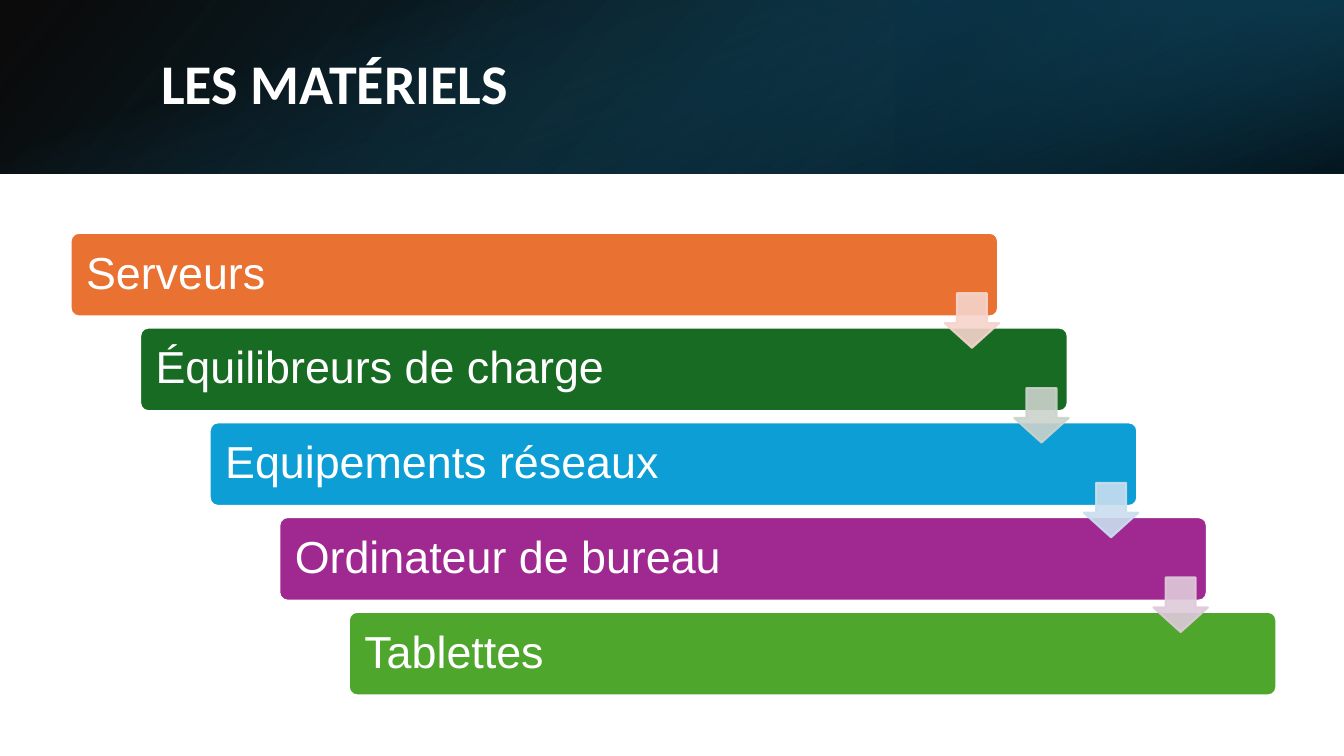
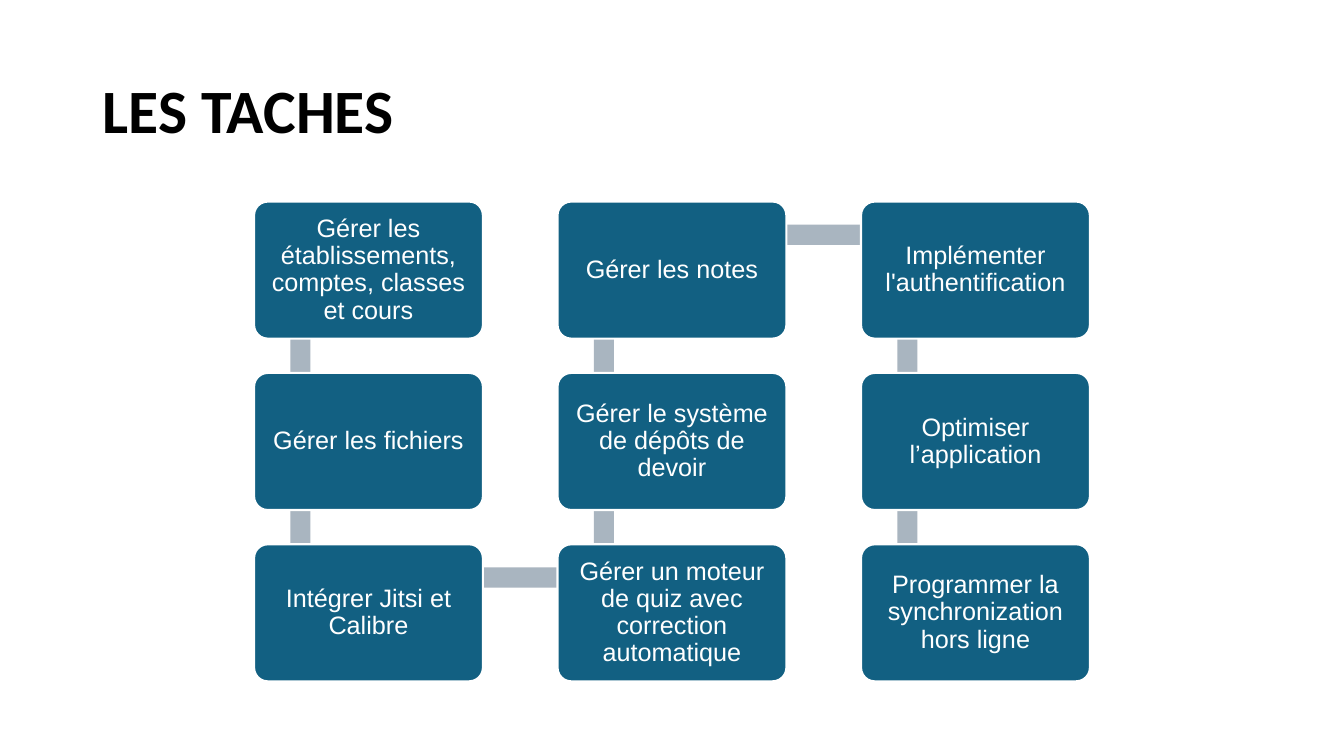
from lxml import etree
from pptx import Presentation
from pptx.dml.color import RGBColor
from pptx.enum.shapes import MSO_SHAPE as Shape
from pptx.enum.text import MSO_ANCHOR as Anchor, PP_ALIGN as Align
from pptx.oxml import parse_xml
from pptx.oxml.ns import nsdecls, qn
from pptx.util import Inches, Pt

WHITE = RGBColor(0xFF, 0xFF, 0xFF)
BLACK = RGBColor(0x00, 0x00, 0x00)
NAVY = RGBColor(0x0F, 0x48, 0x61)
DEEP = RGBColor(0x0A, 0x30, 0x41)
TEAL = RGBColor(0x15, 0x60, 0x82)
BLUE = RGBColor(0x12, 0x60, 0x82)
GREY = RGBColor(0xA9, 0xB5, 0xC0)

HEAD, BODY = "Calibri", "Arial"
WIDE, BAND = 13.33, 1.72

# Label, bar colour, colour of the arrow that leaves the bar
GEAR = [
    ("Serveurs", RGBColor(0xE9, 0x71, 0x31), RGBColor(0xF6, 0xD4, 0xCC)),
    ("Équilibreurs de charge", RGBColor(0x17, 0x6B, 0x22),
     RGBColor(0xCB, 0xD3, 0xCB)),
    ("Equipements réseaux", RGBColor(0x0C, 0x9E, 0xD5),
     RGBColor(0xCA, 0xDE, 0xEF)),
    ("Ordinateur de bureau", RGBColor(0xA0, 0x28, 0x91),
     RGBColor(0xDF, 0xCA, 0xDB)),
    ("Tablettes", RGBColor(0x4E, 0xA6, 0x2C), None),
]

# In the order of the path
TASKS = [
    "Gérer les établissements, comptes, classes et cours",
    "Gérer les fichiers",
    "Intégrer Jitsi et Calibre",
    "Gérer un moteur de quiz avec correction automatique",
    "Gérer le système de dépôts de devoir",
    "Gérer les notes",
    "Implémenter l'authentification",
    "Optimiser l’application",
    "Programmer la synchronization hors ligne",
]


def add_form(slide, kind, box, fill=None, line=None, adj=()):
    form = slide.shapes.add_shape(kind, *map(Inches, box))
    form.shadow.inherit = False
    for i, part in enumerate(adj):
        form.adjustments[i] = part
    if fill is not None:
        form.fill.solid()
        form.fill.fore_color.rgb = fill
    if line is None:
        form.line.fill.background()
    else:
        form.line.color.rgb = line
        form.line.width = Pt(1.5)
    return form


def write(form, text, size, color, font=BODY, bold=False,
          align=Align.LEFT, pad=(0.1, 0.05)):
    frame = form.text_frame
    frame.word_wrap = True
    frame.vertical_anchor = Anchor.MIDDLE
    frame.margin_left = frame.margin_right = Inches(pad[0])
    frame.margin_top = frame.margin_bottom = Inches(pad[1])
    para = frame.paragraphs[0]
    para.alignment = align
    para.line_spacing = 0.9
    run = para.add_run()
    run.text = text
    run.font.name = font
    run.font.size = Pt(size)
    run.font.bold = bold
    run.font.color.rgb = color


def add_title(slide, box, text, size, color):
    form = slide.shapes.add_textbox(*map(Inches, box))
    write(form, text, size, color, HEAD, True)


def fade(form, alpha):
    """Make fill and line partly transparent."""
    for tone in form._element.spPr.iter(qn("a:srgbClr")):
        etree.SubElement(tone, qn("a:alpha")).set("val", str(alpha * 1000))


def blend(form, angle, stops):
    """Give a gradient of (position, colour, opacity) stops, in percent."""
    marks = "".join(
        f'<a:gs pos="{pos * 1000}"><a:srgbClr val="{tone}">'
        f'<a:alpha val="{alpha * 1000}"/></a:srgbClr></a:gs>'
        for pos, tone, alpha in stops)
    grad = parse_xml(
        f'<a:gradFill {nsdecls("a")} rotWithShape="1"><a:gsLst>{marks}'
        f'</a:gsLst><a:lin ang="{angle * 60000}" scaled="0"/></a:gradFill>')
    form._element.spPr.find(qn("a:prstGeom")).addnext(grad)


def add_band(slide, wide, high):
    """Header band made of three gradient layers."""
    third = wide / 3
    layers = [
        ((0, 0, wide, high), 0, True, 140,
         [(0, BLACK, 96), (100, NAVY, 100)]),
        ((wide - third, 0, third, high), 180, True, 320,
         [(0, DEEP, 68), (19, DEEP, 68), (100, TEAL, 79)]),
        (((wide - high) / 2, (high - wide) / 2, high, wide), 90, False, 340,
         [(0, TEAL, 0), (23, TEAL, 0), (99, BLACK, 74), (100, BLACK, 74)]),
    ]
    for box, turn, flip, angle, stops in layers:
        form = add_form(slide, Shape.RECTANGLE, box)
        form.rotation = turn
        if flip:
            form._element.spPr.find(qn("a:xfrm")).set("flipH", "1")
        blend(form, angle, stops)


def add_stairs(slide, left, top):
    """Staggered bars, with an arrow from each one to the next."""
    spots = [(left + 0.69 * i, top + 0.94 * i) for i in range(len(GEAR))]
    for (x, y), (text, fill, _) in zip(spots, GEAR):
        bar = add_form(slide, Shape.ROUNDED_RECTANGLE, (x, y, 9.2, 0.83),
                       fill, WHITE, [0.1])
        write(bar, text, 32, WHITE, pad=(0.13, 0.13))
    for (x, y), (_, _, tone) in zip(spots, GEAR):
        if tone is not None:
            arrow = add_form(slide, Shape.DOWN_ARROW,
                             (x + 8.67, y + 0.6, 0.54, 0.54),
                             tone, tone, [0.55, 0.45])
            fade(arrow, 90)


def add_snake(slide, left, top, rows=3):
    """Grid of tasks read down, up, then down, with links behind."""
    step_x, step_y = 3.01, 1.7
    spots = []
    for i in range(len(TASKS)):
        col, row = divmod(i, rows)
        if col % 2:
            row = rows - 1 - row
        spots.append((left + step_x * col, top + step_y * row))
    # Links
    for (x, y), (to_x, to_y) in zip(spots, spots[1:]):
        if x == to_x:
            box = (x + 0.36, min(y, to_y) + 0.34, 0.2, step_y)
        else:
            box = (x + 0.46, y + 0.23, step_x, 0.2)
        add_form(slide, Shape.RECTANGLE, box, GREY)
    # Tasks
    for (x, y), text in zip(spots, TASKS):
        card = add_form(slide, Shape.ROUNDED_RECTANGLE, (x, y, 2.27, 1.36),
                        BLUE, WHITE, [0.1])
        write(card, text, 18, WHITE, align=Align.CENTER, pad=(0.07, 0.07))


def gear_slide(slide):
    add_band(slide, WIDE, BAND)
    add_title(slide, (1.5, 0.38, 10.98, 0.96), "LES MATÉRIELS", 40, WHITE)
    add_stairs(slide, 0.7, 2.31)


def task_slide(slide):
    add_title(slide, (0.92, 0.4, 11.5, 1.45), "LES TACHES", 44, BLACK)
    add_snake(slide, 2.52, 2)


def main():
    deck = Presentation()
    deck.slide_width, deck.slide_height = Inches(WIDE), Inches(7.5)
    for build in (gear_slide, task_slide):
        build(deck.slides.add_slide(deck.slide_layouts[6]))
    deck.save("out.pptx")


if __name__ == "__main__":
    main()
